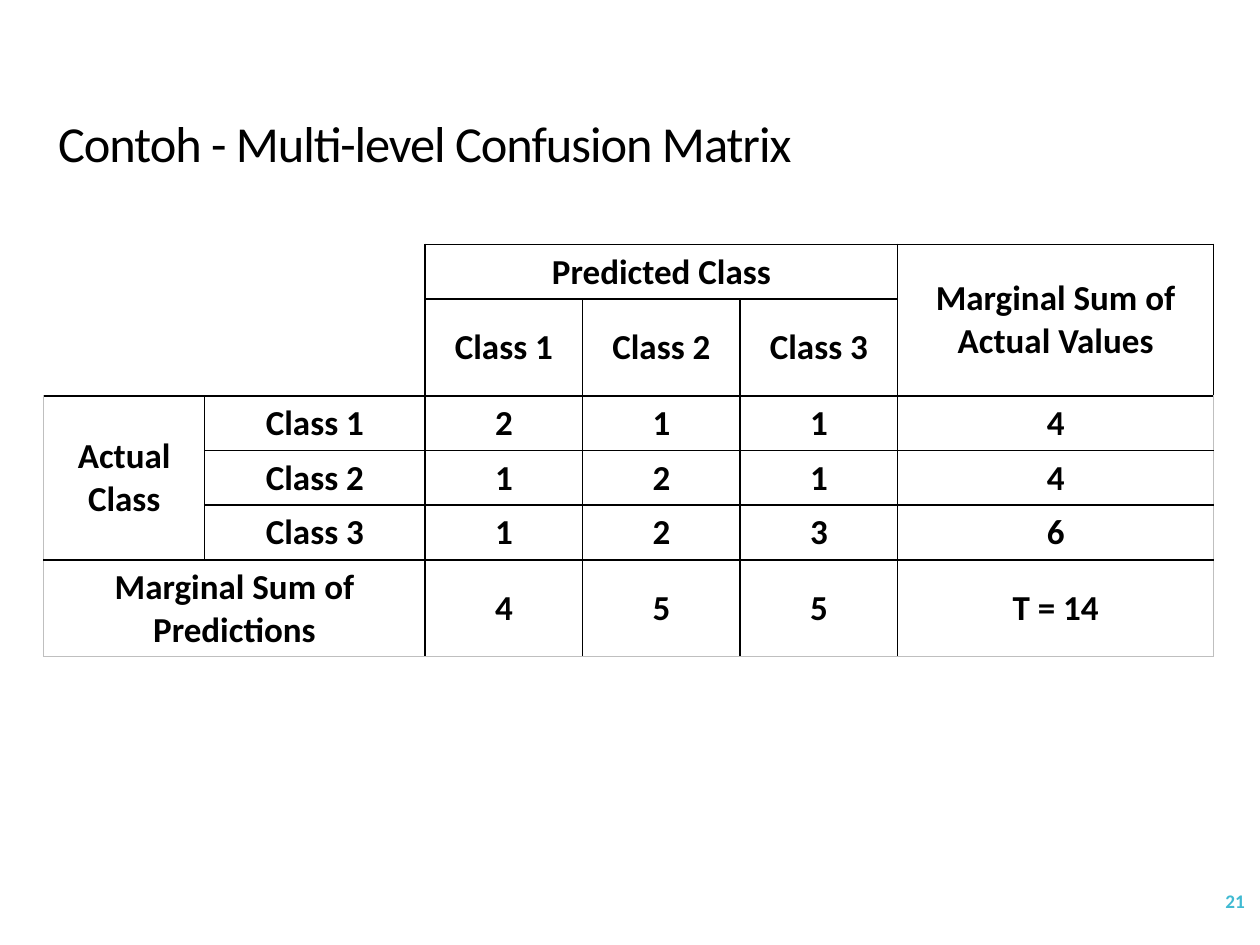
from lxml import etree
from pptx import Presentation
from pptx import util as u
from pptx.dml.color import RGBColor
from pptx.enum import text
from pptx.oxml.ns import qn

HEADING = "Contoh - Multi-level Confusion Matrix"
PAGE = "21"
MATRIX = [
    ["", "", "Predicted Class", "", "", "Marginal Sum of\nActual Values"],
    ["", "", "Class 1", "Class 2", "Class 3", ""],
    ["Actual\nClass", "Class 1", "2", "1", "1", "4"],
    ["", "Class 2", "1", "2", "1", "4"],
    ["", "Class 3", "1", "2", "3", "6"],
    ["Marginal Sum of Predictions", "", "4", "5", "5", "T = 14"],
]
SPANS = [((0, 2), (0, 4)), ((0, 5), (1, 5)), ((2, 0), (4, 0)), ((5, 0), (5, 1))]
COLUMN_WIDTHS = [92, 126, 90, 90, 90, 180.5]
ROW_HEIGHT = 29.5
HEADER_ROWS = LABEL_COLUMNS = 2
LAST_ROW, LAST_COLUMN = len(MATRIX) - 1, len(COLUMN_WIDTHS) - 1
BLACK, GREY, TEAL = "000000", "BFBFBF", "40BAD2"


def add_run(paragraph, words, size, color, bold=False):
    run = paragraph.add_run()
    run.text = words
    run.font.name = "Calibri"
    run.font.size = u.Pt(size)
    run.font.bold = bold
    run.font.color.rgb = RGBColor.from_string(color)
    return run


def edge_colors(row, column):
    if row < HEADER_ROWS and column < LABEL_COLUMNS:
        return {
            "lnL": None,
            "lnR": BLACK if column == LABEL_COLUMNS - 1 else None,
            "lnT": None,
            "lnB": BLACK if row == HEADER_ROWS - 1 else None,
        }
    in_body = row >= HEADER_ROWS
    return {
        "lnL": GREY if column == 0 else BLACK,
        "lnR": GREY if in_body and column == LAST_COLUMN else BLACK,
        "lnT": BLACK,
        "lnB": GREY if row == LAST_ROW else BLACK,
    }


def draw_edges(cell, colors):
    properties = cell._tc.get_or_add_tcPr()
    for side, color in colors.items():
        line = etree.SubElement(properties, qn(f"a:{side}"), w=str(u.Pt(1)))
        if color:
            fill = etree.SubElement(line, qn("a:solidFill"))
            etree.SubElement(fill, qn("a:srgbClr"), val=color)
        else:
            etree.SubElement(line, qn("a:noFill"))


def add_heading(slide):
    title = slide.shapes.title
    title.left, title.top, title.width, title.height = map(u.Pt, (26, 60.5, 456.5, 45.5))
    frame = title.text_frame
    frame.word_wrap = True
    frame.auto_size = text.MSO_AUTO_SIZE.NONE
    frame.vertical_anchor = text.MSO_ANCHOR.MIDDLE
    paragraph = frame.paragraphs[0]
    paragraph.alignment = text.PP_ALIGN.LEFT
    paragraph.line_spacing = 0.9
    run = add_run(paragraph, HEADING, 28.8, BLACK)
    run.font._element.set("spc", "-60")


def add_matrix(slide):
    frame = slide.shapes.add_table(
        len(MATRIX), len(COLUMN_WIDTHS),
        u.Pt(25), u.Pt(139.7), u.Pt(sum(COLUMN_WIDTHS)), u.Pt(211))
    table = frame.table
    table.first_row = table.horz_banding = False
    for column, width in zip(table.columns, COLUMN_WIDTHS):
        column.width = u.Pt(width)
    for row in table.rows:
        row.height = u.Pt(ROW_HEIGHT)
    frame.height = u.Pt(211)
    for start, end in SPANS:
        table.cell(*start).merge(table.cell(*end))
    for r, values in enumerate(MATRIX):
        for c, value in enumerate(values):
            cell = table.cell(r, c)
            draw_edges(cell, edge_colors(r, c))
            cell.fill.background()
            cell.vertical_anchor = text.MSO_ANCHOR.MIDDLE
            if not value:
                continue
            for i, words in enumerate(value.split("\n")):
                lines = cell.text_frame
                paragraph = lines.add_paragraph() if i else lines.paragraphs[0]
                paragraph.alignment = text.PP_ALIGN.CENTER
                add_run(paragraph, words, 20, BLACK, bold=True)


def add_page_number(slide):
    box = slide.shapes.add_textbox(u.Pt(628), u.Pt(500.5), u.Pt(90.5), u.Pt(29))
    frame = box.text_frame
    frame.word_wrap = True
    frame.vertical_anchor = text.MSO_ANCHOR.MIDDLE
    paragraph = frame.paragraphs[0]
    paragraph.alignment = text.PP_ALIGN.RIGHT
    add_run(paragraph, PAGE, 11, TEAL, bold=True)


def main():
    deck = Presentation()
    deck.slide_width, deck.slide_height = u.Pt(720), u.Pt(540)
    slide = deck.slides.add_slide(deck.slide_layouts[5])
    add_page_number(slide)
    add_heading(slide)
    add_matrix(slide)
    deck.save("out.pptx")


if __name__ == "__main__":
    main()
